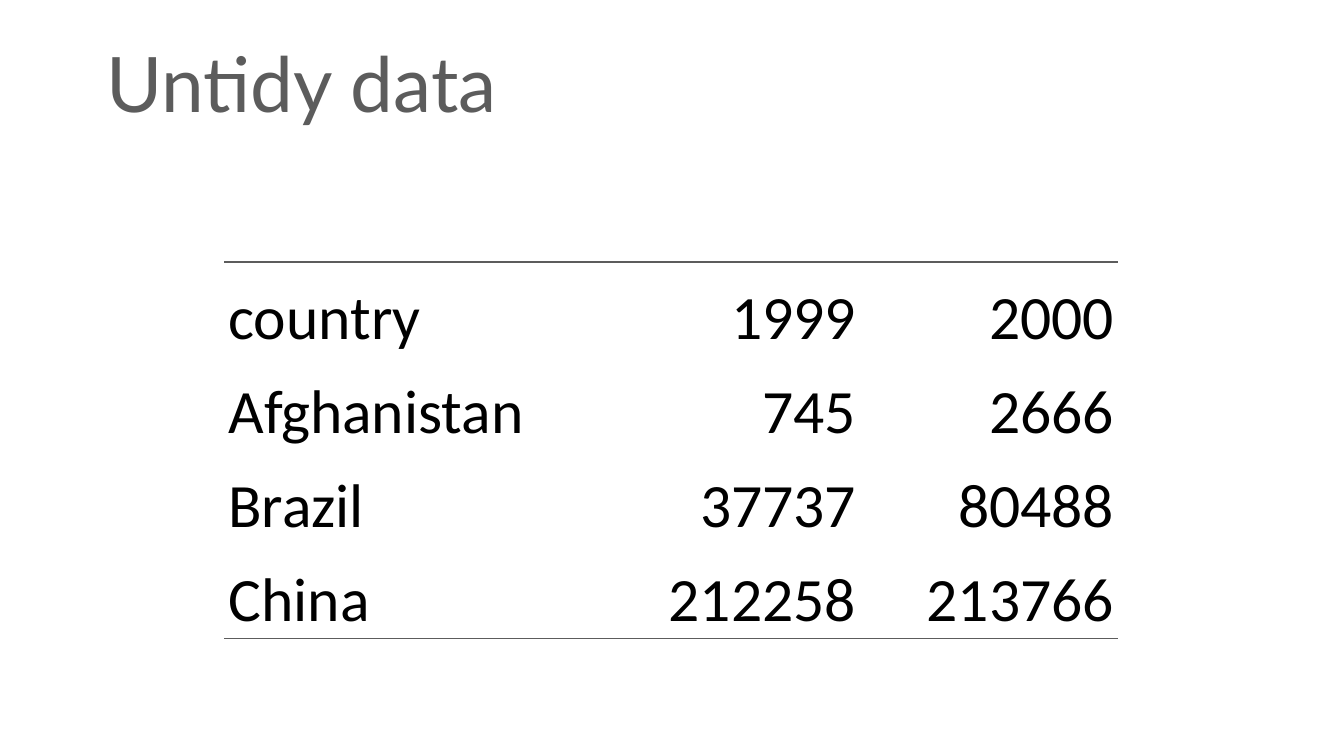
from dataclasses import dataclass

from lxml.etree import SubElement
from pptx import Presentation
from pptx.dml.color import RGBColor
from pptx.enum.text import MSO_ANCHOR, MSO_AUTO_SIZE, PP_ALIGN
from pptx.oxml.ns import qn
from pptx.slide import Slide
from pptx.table import _Cell as Cell
from pptx.text.text import _Paragraph as Paragraph
from pptx.util import Inches, Pt


@dataclass(frozen=True)
class TextStyle:
    font: str
    size: float
    color: str


@dataclass(frozen=True)
class Theme:
    title: TextStyle = TextStyle("Lato", 41, "5C5C5C")
    cell: TextStyle = TextStyle("Calibri", 33, "000000")
    rule_color: str = "5C5C5C"
    rule_width: float = 0.75


@dataclass(frozen=True)
class CountryCases:
    country: str
    first_year: str
    second_year: str

    def values(self) -> tuple[str, str, str]:
        return self.country, self.first_year, self.second_year


THEME = Theme()
NO_STYLE_NO_GRID = "{2D5ABB26-0587-4C30-8999-92F81FD0307C}"
COLUMN_WIDTHS = (2.81, 1.92, 1.92)
ROW_HEIGHT = 0.7
CASES = (
    CountryCases("country", "1999", "2000"),
    CountryCases("Afghanistan", "745", "2666"),
    CountryCases("Brazil", "37737", "80488"),
    CountryCases("China", "212258", "213766"),
)


def style_paragraph(paragraph: Paragraph, style: TextStyle, align: PP_ALIGN) -> None:
    paragraph.alignment = align
    paragraph.font.name = style.font
    paragraph.font.size = Pt(style.size)
    paragraph.font.color.rgb = RGBColor.from_string(style.color)


def add_title(slide: Slide, wording: str) -> None:
    title = slide.shapes.title
    title.left, title.top = Inches(0.69), Inches(0.24)
    title.width, title.height = Inches(8.62), Inches(0.77)
    frame = title.text_frame
    frame.text = wording
    frame.auto_size = MSO_AUTO_SIZE.NONE
    frame.vertical_anchor = MSO_ANCHOR.BOTTOM
    heading = frame.paragraphs[0]
    heading.line_spacing = 0.9
    style_paragraph(heading, THEME.title, PP_ALIGN.LEFT)


def add_rule(cell: Cell, side: str) -> None:
    properties = cell._tc.get_or_add_tcPr()
    rule = SubElement(properties, qn(f"a:ln{side}"), w=str(Pt(THEME.rule_width)))
    fill = SubElement(rule, qn("a:solidFill"))
    SubElement(fill, qn("a:srgbClr"), val=THEME.rule_color)
    properties.insert(0, rule)


def fill_cell(cell: Cell, value: str, align: PP_ALIGN) -> None:
    cell.text = value
    cell.fill.background()
    cell.vertical_anchor = MSO_ANCHOR.BOTTOM
    cell.margin_left = cell.margin_right = cell.margin_top = Inches(0.03)
    cell.margin_bottom = 0
    style_paragraph(cell.text_frame.paragraphs[0], THEME.cell, align)


def add_cases_table(slide: Slide, cases: tuple[CountryCases, ...]) -> None:
    frame = slide.shapes.add_table(
        len(cases), len(COLUMN_WIDTHS), Inches(1.67), Inches(1.95),
        Inches(sum(COLUMN_WIDTHS)), Inches(ROW_HEIGHT * len(cases)),
    )
    table = frame.table
    table.first_row = table.horz_banding = False
    style_id = next(frame._element.iter(qn("a:tableStyleId")))
    style_id.text = NO_STYLE_NO_GRID
    for column, width in zip(table.columns, COLUMN_WIDTHS):
        column.width = Inches(width)
    for row, country_cases in zip(table.rows, cases):
        row.height = Inches(ROW_HEIGHT)
        for index, value in enumerate(country_cases.values()):
            align = PP_ALIGN.RIGHT if index else PP_ALIGN.LEFT
            fill_cell(row.cells[index], value, align)
    for index in range(len(COLUMN_WIDTHS)):
        add_rule(table.cell(0, index), "T")
        add_rule(table.cell(len(cases) - 1, index), "B")


def main() -> None:
    presentation = Presentation()
    presentation.slide_width = Inches(10)
    presentation.slide_height = Inches(10 * 9 / 16)
    slide = presentation.slides.add_slide(presentation.slide_layouts[5])
    add_title(slide, "Untidy data")
    add_cases_table(slide, CASES)
    presentation.save("out.pptx")


if __name__ == "__main__":
    main()
